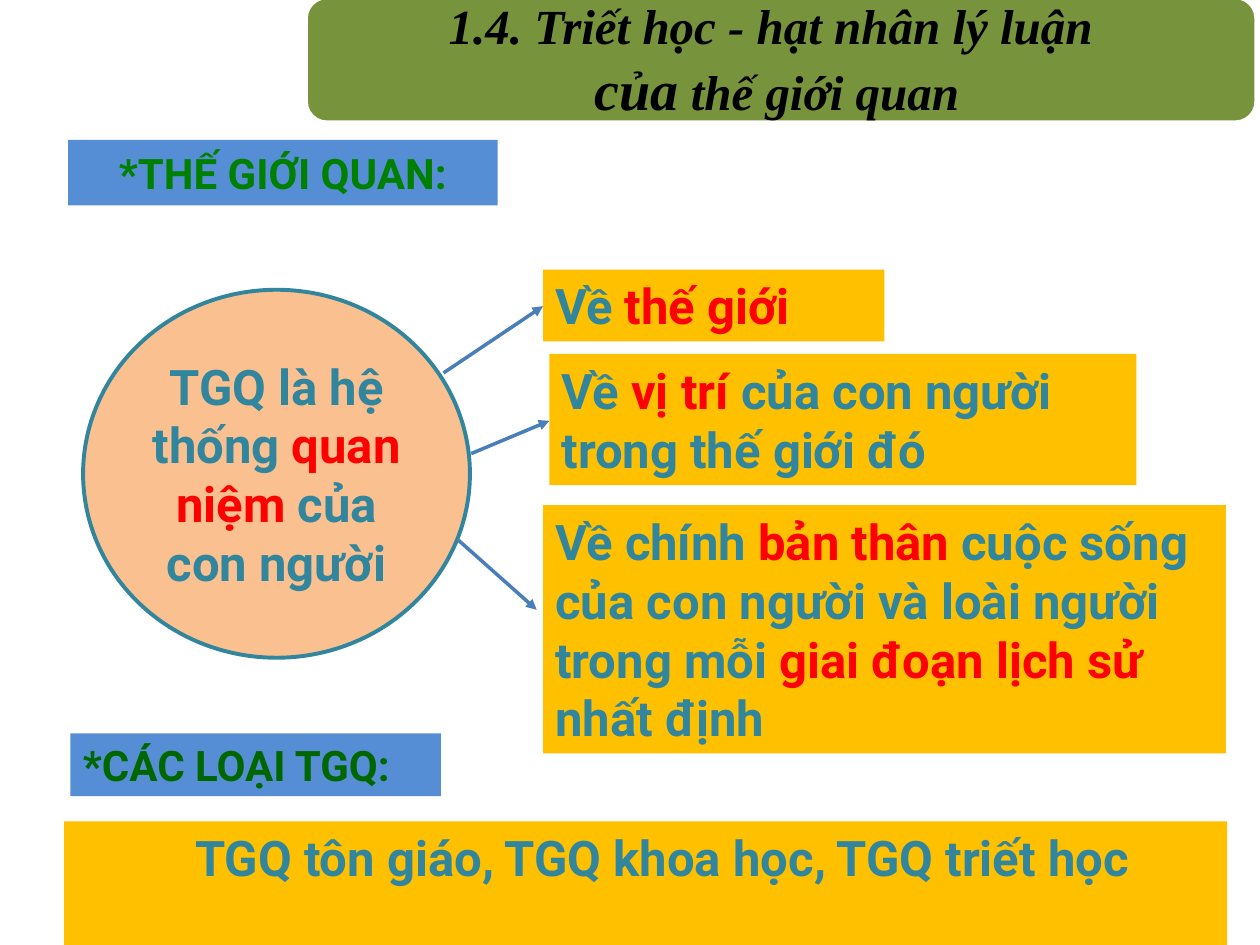
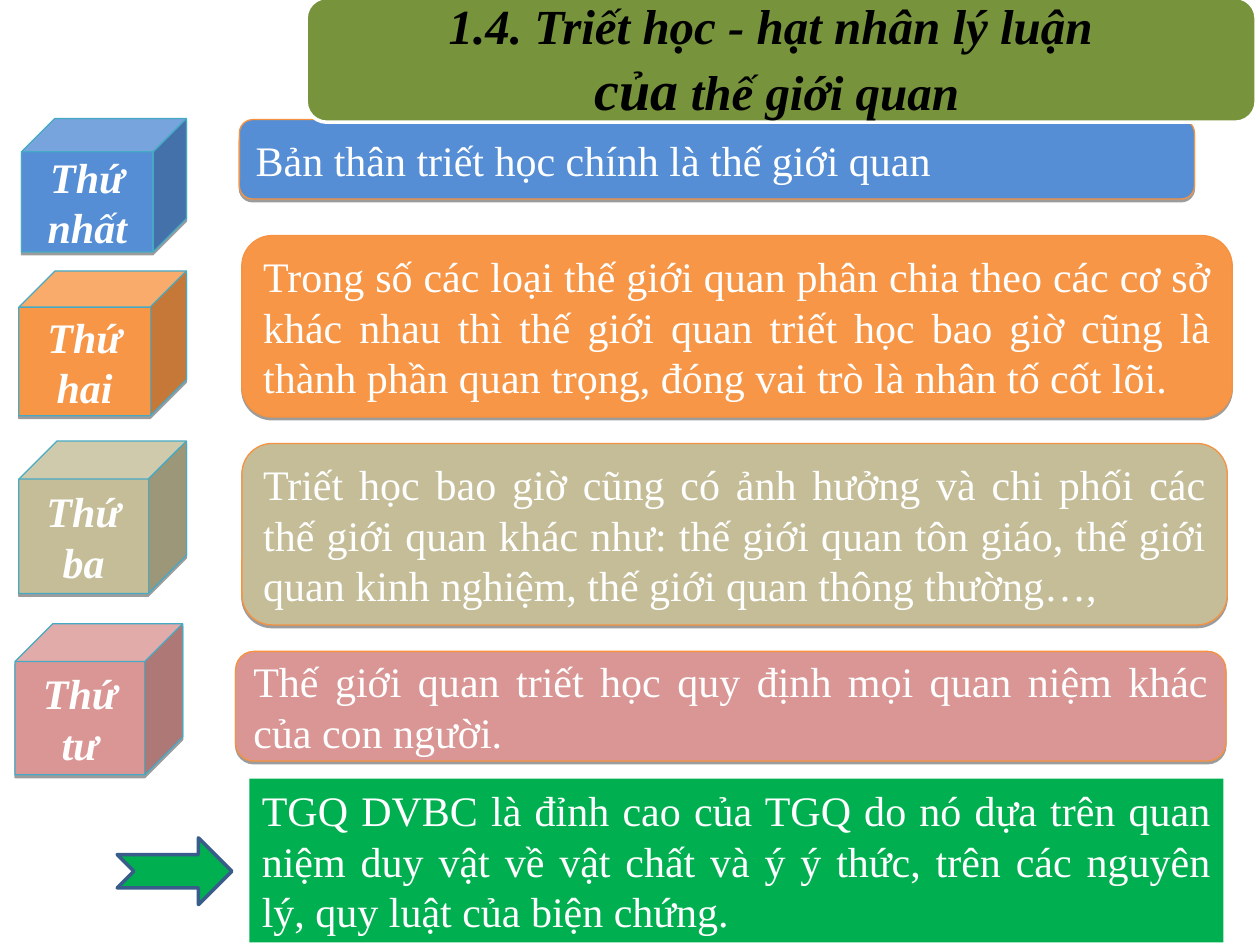
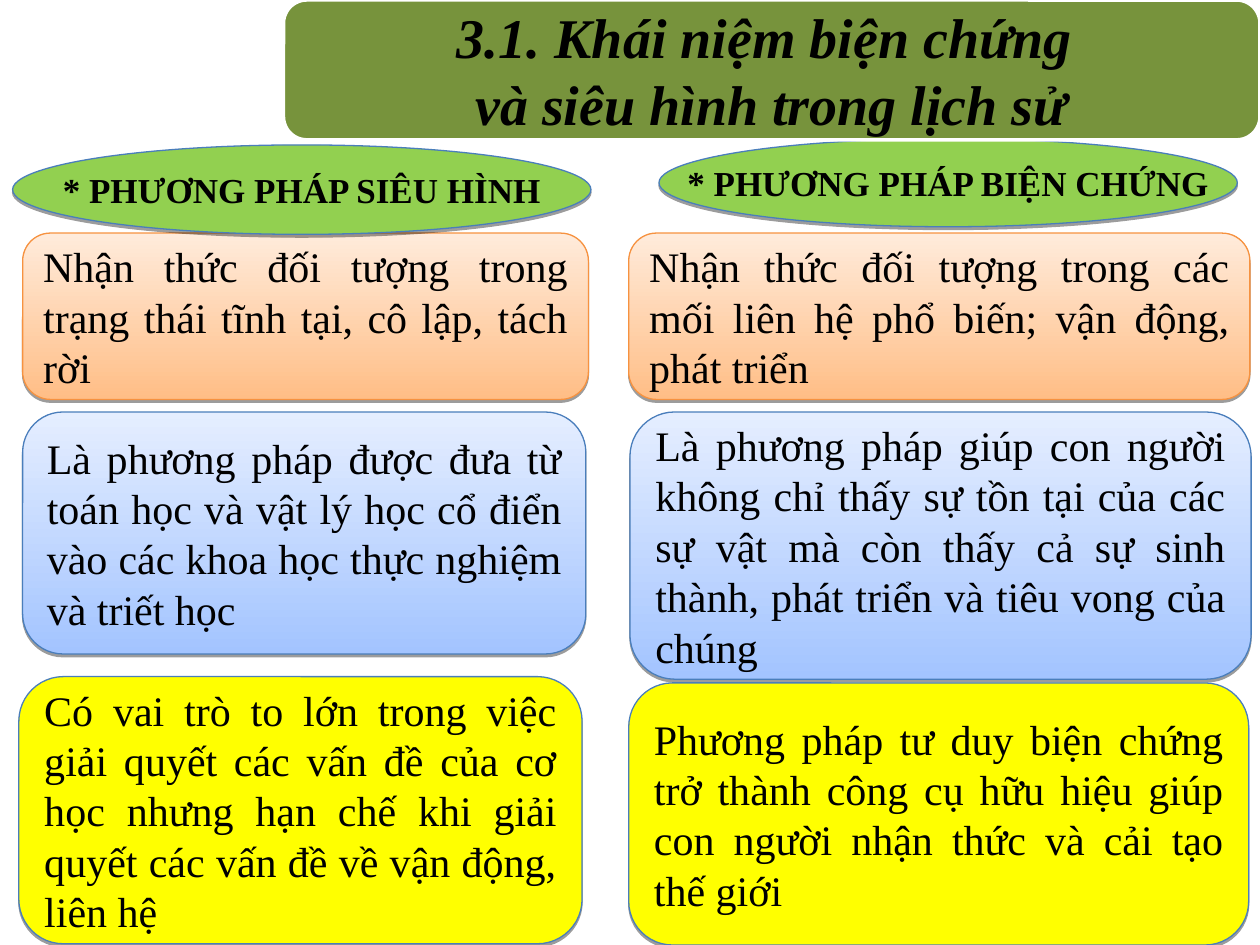
"""Build three slides on world view, philosophy and the dialectical method."""
from lxml.etree import SubElement
from pptx import Presentation
from pptx.dml.color import RGBColor as Rgb
from pptx.enum.shapes import MSO_CONNECTOR as Connector, MSO_SHAPE as Shape
from pptx.enum.text import MSO_ANCHOR as Anchor, PP_ALIGN as Align
from pptx.oxml.ns import qn
from pptx.util import Inches, Pt

COLORS = {
    "olive": "77933C", "white": "FFFFFF", "black": "000000", "blue": "558ED5",
    "amber": "FFC000", "teal": "31859C", "red": "FF0000", "peach": "FAC090",
    "green": "008000", "dark_green": "006600", "steel": "4A7EBB", "navy": "385D8A",
    "orange": "F79646", "orange_edge": "F69240", "aqua_edge": "46AAC5",
    "sand": "C4BD97", "rose": "D99694", "emerald": "00B050", "lime": "92D050",
    "yellow": "FFFF00", "peach_low": "FFBE86", "peach_high": "FFEBDB",
    "sky_low": "A3C4FF", "sky_high": "E5EEFF",
}
COLORS = {name: Rgb.from_string(value) for name, value in COLORS.items()}
SANS, SERIF = "Roboto", "Times New Roman"

deck = Presentation()
deck.slide_width, deck.slide_height = Inches(10), Inches(7.5)
CELL = deck.slide_width // 100


def add_block(page, kind, at, fill, edge=None, weight=0.75, shadow=False):
    """Add a shape placed in grid cells; a pair of fills makes a gradient."""
    box = page.shapes.add_shape(kind, *[round(cells * CELL) for cells in at])
    box.shadow.inherit = False
    if isinstance(fill, tuple):
        box.fill.gradient()
        box.fill.gradient_angle = 90
        for stop, name in zip(box.fill.gradient_stops, fill):
            stop.color.rgb = COLORS[name]
    else:
        box.fill.solid()
        box.fill.fore_color.rgb = COLORS[fill]
    if edge:
        box.line.color.rgb = COLORS[edge]
        box.line.width = Pt(weight)
    else:
        box.line.fill.background()
    if shadow:
        effects = box.element.spPr.find(qn("a:effectLst"))
        outer = SubElement(effects, qn("a:outerShdw"), blurRad="0", dist="20000",
                           dir="5400000", rotWithShape="0")
        black = SubElement(outer, qn("a:srgbClr"), val="000000")
        SubElement(black, qn("a:alpha"), val="38000")
    return box


def write(box, text, size=24, font=SERIF, color="white", bold=False, italic=False,
          align=Align.LEFT, anchor=Anchor.MIDDLE, wrap=True, accent=None,
          accent_size=None):
    """Fill a box: line breaks part paragraphs, bars switch the accent on and off."""
    frame = box.text_frame
    frame.word_wrap, frame.vertical_anchor = wrap, anchor
    for row, line in enumerate(text.split("\n")):
        para = frame.add_paragraph() if row else frame.paragraphs[0]
        para.alignment = align
        for turn, words in enumerate(line.split("|")):
            if not words:
                continue
            span = para.add_run()
            span.text = words
            marked = turn % 2
            span.font.name, span.font.bold, span.font.italic = font, bold, italic
            span.font.size = Pt(accent_size if marked and accent_size else size)
            span.font.color.rgb = COLORS[accent if marked and accent else color]


blank = deck.slide_layouts[6]
world_page, reasons_page, methods_page = [deck.slides.add_slide(blank) for _ in range(3)]

heading = dict(font=SANS, size=24, bold=True)
box = add_block(world_page, Shape.RECTANGLE, (5.4, 11.1, 34.1, 5.2), "blue")
write(box, "*THẾ GIỚI QUAN:", color="green", align=Align.CENTER, **heading)
box = add_block(world_page, Shape.RECTANGLE, (5.6, 58.2, 29.4, 5), "blue")
write(box, "*CÁC LOẠI TGQ:", color="dark_green", **heading)

statement = dict(font=SANS, size=28, bold=True, color="teal", accent="red")
for at, text in [
    ((43.1, 21.4, 27.1, 5.7), "Về |thế giới"),
    ((43.6, 28.1, 46.6, 10.4), "Về |vị trí |của con người trong thế giới đó"),
    ((43.1, 40.1, 54.2, 19.7), "Về chính |bản thân |cuộc sống của con người và loài "
                               "người trong mỗi |giai đoạn lịch sử |nhất định"),
]:
    box = add_block(world_page, Shape.RECTANGLE, at, "amber")
    write(box, text, anchor=Anchor.TOP, **statement)

box = add_block(world_page, Shape.OVAL, (6.6, 23, 30.7, 29.2), "peach", "teal", 2.25)
write(box, "TGQ là hệ thống |quan niệm |của con người", align=Align.CENTER, **statement)
box = add_block(world_page, Shape.RECTANGLE, (5.1, 65.2, 92.3, 10.4), "amber")
box.text_frame.margin_left = round(10.4 * CELL)
write(box, "TGQ tôn giáo, TGQ khoa học, TGQ triết học", anchor=Anchor.TOP, **statement)

for ends in [(35.2, 29.6, 43.1, 24.3), (37.4, 36, 43.6, 33.4), (36.3, 42.8, 42.6, 48.4)]:
    arrow = world_page.shapes.add_connector(
        Connector.STRAIGHT, *[round(cells * CELL) for cells in ends])
    arrow.line.color.rgb = COLORS["steel"]
    arrow.line.width = Pt(2)
    properties = arrow.element.spPr
    SubElement(properties.find(qn("a:ln")), qn("a:tailEnd"), type="triangle")
    SubElement(properties, qn("a:effectLst"))

for fill, cube_at, label, bar_at, text in [
    ("blue", (1.7, 9.4, 13.1, 10.6), "Thứ nhất", (19, 9.5, 75.8, 6.3),
     "Bản thân triết học chính là thế giới quan"),
    ("orange", (1.5, 21.5, 13.3, 11.5), "Thứ hai", (19.2, 18.7, 78.6, 14.4),
     "Trong số các loại thế giới quan phân chia theo các cơ sở khác nhau thì thế giới "
     "quan triết học bao giờ cũng là thành phần quan trọng, đóng vai trò là nhân tố "
     "cốt lõi."),
    ("sand", (1.5, 35, 13.3, 12.1), "Thứ ba", (19.2, 35.2, 78.2, 14.4),
     "Triết học bao giờ cũng có ảnh hưởng và chi phối các thế giới quan khác như: thế "
     "giới quan tôn giáo, thế giới quan kinh nghiệm, thế giới quan thông thường…,"),
    ("rose", (1.2, 49.5, 13.3, 12), "Thứ tư", (18.7, 51.7, 78.6, 8.7),
     "Thế giới quan triết học quy định mọi quan niệm khác của con người."),
]:
    box = add_block(reasons_page, Shape.ROUNDED_RECTANGLE, bar_at, fill, "orange_edge",
                    shadow=True)
    write(box, text, align=Align.JUSTIFY)
    box = add_block(reasons_page, Shape.CUBE, cube_at, fill, "aqua_edge", shadow=True)
    write(box, label, bold=True, italic=True, align=Align.CENTER)

box = add_block(reasons_page, Shape.RECTANGLE, (19.8, 61.8, 77.3, 13), "emerald")
write(box, "TGQ DVBC là đỉnh cao của TGQ do nó dựa trên quan niệm duy vật về vật chất và "
           "ý ý thức, trên các nguyên lý, quy luật của biện chứng.",
      align=Align.JUSTIFY, anchor=Anchor.TOP)
add_block(reasons_page, Shape.NOTCHED_RIGHT_ARROW, (9.3, 66.5, 9.1, 5.3), "emerald",
          "navy", 2)

card_styles = [(("peach_low", "peach_high"), "orange_edge"),
               (("sky_low", "sky_high"), "steel"), ("yellow", "steel")]
for oval_at, method, cards in [
    ((1, 11.5, 45.9, 7.1), "* PHƯƠNG PHÁP SIÊU HÌNH", [
        ((1.8, 18.5, 44.9, 13.2),
         "Nhận thức đối tượng trong trạng thái tĩnh tại, cô lập, tách rời"),
        ((1.8, 32.7, 44.7, 19.2),
         "Là phương pháp được đưa từ toán học và vật lý học cổ điển vào các khoa học "
         "thực nghiệm và triết học"),
        ((1.5, 53.7, 44.7, 21.2),
         "Có vai trò to lớn trong việc giải quyết các vấn đề của cơ học nhưng hạn chế "
         "khi giải quyết các vấn đề về vận động, liên hệ"),
    ]),
    ((52.3, 11, 45.9, 7), "* PHƯƠNG PHÁP BIỆN CHỨNG", [
        ((49.9, 18.5, 49.3, 13.2),
         "Nhận thức đối tượng trong các mối liên hệ phổ biến; vận động, phát triển"),
        ((50, 32.7, 49.3, 21.2),
         "Là phương pháp giúp con người không chỉ thấy sự tồn tại của các sự vật mà còn "
         "thấy cả sự sinh thành, phát triển và tiêu vong của chúng"),
        ((49.9, 54.2, 49.2, 20.8),
         "Phương pháp tư duy biện chứng trở thành công cụ hữu hiệu giúp con người nhận "
         "thức và cải tạo thế giới"),
    ]),
]:
    for (fill, edge), (at, text) in zip(card_styles, cards):
        box = add_block(methods_page, Shape.ROUNDED_RECTANGLE, at, fill, edge, shadow=True)
        write(box, text, color="black", align=Align.JUSTIFY)
    box = add_block(methods_page, Shape.OVAL, oval_at, "lime", "steel", shadow=True)
    write(box, method, size=20, color="black", bold=True, align=Align.CENTER, wrap=False)

philosophy = ((24.3, -0.2, 75.4, 9.9), (24.3, 0.7, 74.7, 7.9), 28,
              "1.4. Triết học - hạt nhân lý luận \n|của| thế giới quan")
dialectics = ((22.5, 0, 77.5, 11.1), (23, 0.5, 76.5, 10), 32,
              "3.1. Khái niệm biện chứng \nvà siêu hình trong lịch sử")
for page, (band_at, title_at, size, text) in [
    (world_page, philosophy), (reasons_page, philosophy), (methods_page, dialectics),
]:
    add_block(page, Shape.ROUNDED_RECTANGLE, band_at, "olive", "white", 2)
    title = page.shapes.add_textbox(*[round(cells * CELL) for cells in title_at])
    frame = title.text_frame
    frame.margin_left = frame.margin_right = round(2.4 * CELL)
    frame.margin_top = frame.margin_bottom = 0
    write(title, text, size=size, accent_size=32, color="black", bold=True, italic=True,
          align=Align.CENTER)

deck.save("out.pptx")
